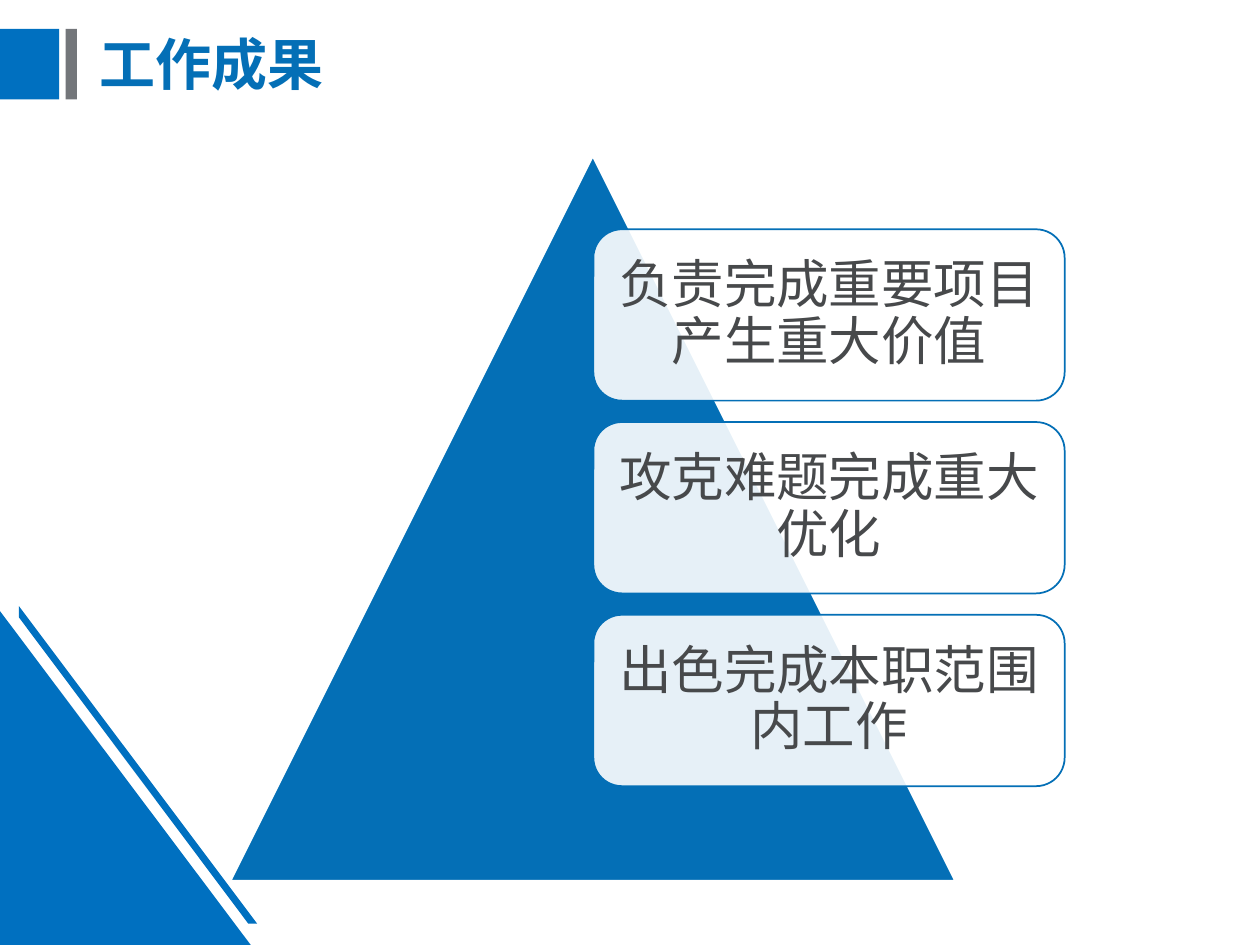
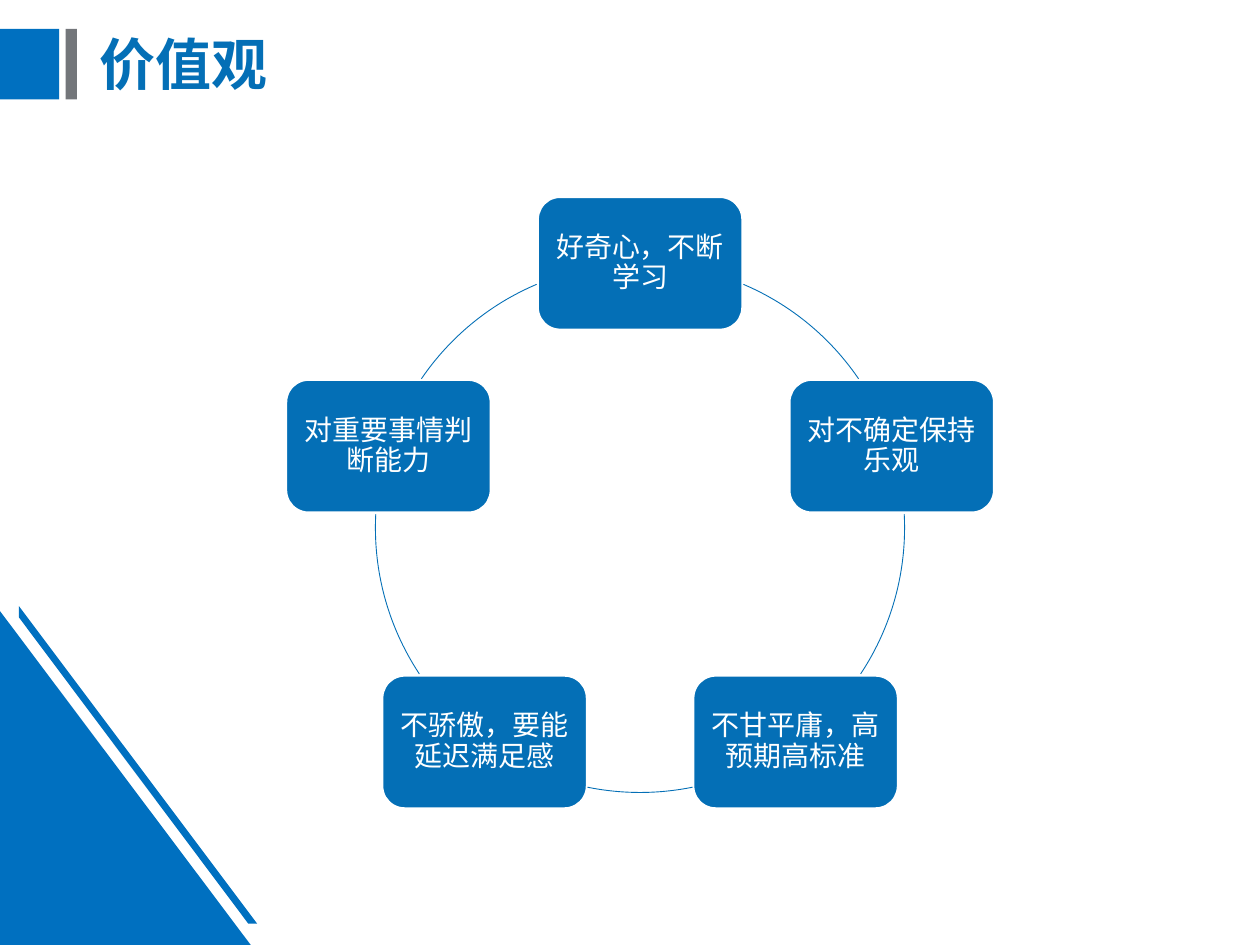
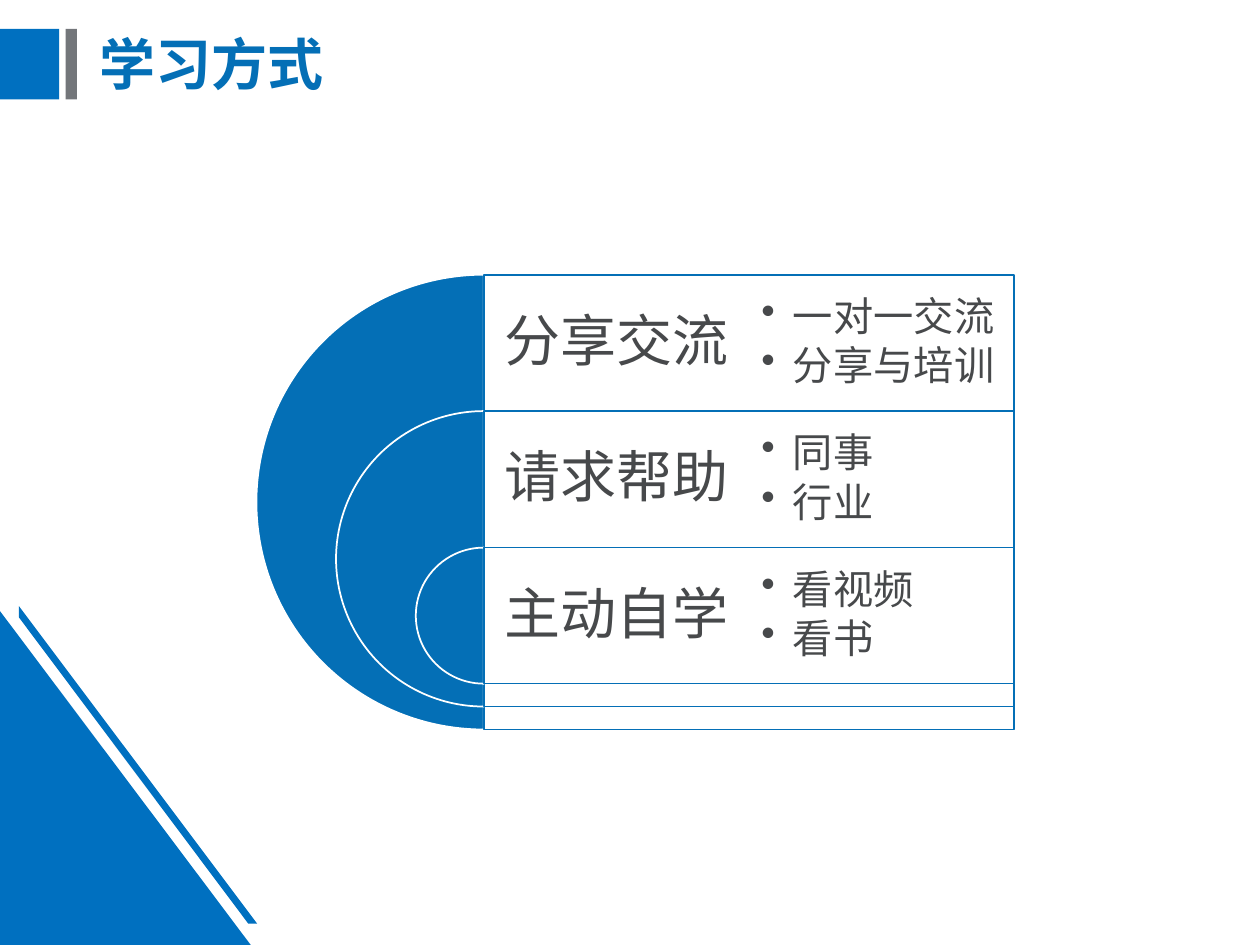
import math

import lxml.etree
import pptx
import pptx.dml.color
import pptx.enum.shapes
import pptx.enum.text
import pptx.oxml.ns
import pptx.util

SHAPE = pptx.enum.shapes.MSO_SHAPE
ALIGN = pptx.enum.text.PP_ALIGN
qn = pptx.oxml.ns.qn

COLORS = {
    "band": "0070C0",
    "accent": "046FB6",
    "bar": "73767A",
    "text": "47494B",
    "white": "FFFFFF",
}
TITLE_FONT = "Noto Sans CJK SC"
BODY_FONT = "Calibri"
COLUMNS, ROWS = 100, 75  # square grid cells, a tenth of an inch each


class Builder:
    """Holds the deck's style and the page being drawn; lengths are grid cells."""

    def __init__(self):
        self.deck = pptx.Presentation()
        self.deck.slide_width = pptx.util.Inches(10)
        self.deck.slide_height = pptx.util.Inches(7.5)
        self.cell = self.deck.slide_width // COLUMNS
        self.page = None

    def lengths(self, *cells):
        return [round(value * self.cell) for value in cells]

    def new_page(self, title):
        self.page = self.deck.slides.add_slide(self.deck.slide_layouts[6])
        # Title band
        self.shape(SHAPE.RECTANGLE, (0, 2.3, 4.7, 5.6), "band")
        self.shape(SHAPE.RECTANGLE, (5.2, 2.3, 0.9, 5.6), "bar")
        # Corner triangle and its stripe
        self.shape(SHAPE.RIGHT_TRIANGLE, (0, 48.5, 19.9, ROWS - 48.5), "band")
        self.outline([(1.5, 48.1), (20.4, 73.3), (19.7, 73.3), (1.5, 49)], "band")
        self.text((6.9, 1, 89, 8.7), [title], 32, "accent", font=TITLE_FONT,
                  bold=True, align=ALIGN.LEFT, inset=(1, 0.5))

    def paint(self, shape, fill, line, weight, opacity=100):
        shape.shadow.inherit = False
        if fill:
            shape.fill.solid()
            shape.fill.fore_color.rgb = self.color(fill)
        else:
            shape.fill.background()
        if opacity < 100:
            tint = shape._element.spPr.find(f"{qn('a:solidFill')}/{qn('a:srgbClr')}")
            lxml.etree.SubElement(tint, qn("a:alpha"), val=str(opacity * 1000))
        if line:
            shape.line.color.rgb = self.color(line)
            shape.line.width = pptx.util.Pt(weight)
        else:
            shape.line.fill.background()
        return shape

    def color(self, name):
        return pptx.dml.color.RGBColor.from_string(COLORS[name])

    def shape(self, kind, at, fill=None, line=None, weight=1, opacity=100, adjust=()):
        shape = self.page.shapes.add_shape(kind, *self.lengths(*at))
        for index, value in enumerate(adjust):
            shape.adjustments[index] = value
        return self.paint(shape, fill, line, weight, opacity)

    def outline(self, points, fill):
        start, *rest = [self.lengths(*point) for point in points]
        builder = self.page.shapes.build_freeform(*start)
        builder.add_line_segments(rest, close=True)
        return self.paint(builder.convert_to_shape(), fill, None, 0)

    def arc(self, at, start, end, line, weight):
        # Angles are stored as 60000ths of a degree, adjustments as 100000ths
        return self.shape(SHAPE.ARC, at, None, line, weight,
                          adjust=(start * 0.6, end * 0.6))

    def text(self, at, lines, size, color, **style):
        box = self.page.shapes.add_textbox(*self.lengths(*at))
        self.set_text(box, lines, size, color, **style)

    def set_text(self, box, lines, size, color, font=BODY_FONT, bold=False,
                 align=ALIGN.CENTER, inset=(1, 1), after=0.35, bullet=False):
        frame = box.text_frame
        frame.word_wrap = True
        frame.vertical_anchor = pptx.enum.text.MSO_ANCHOR.MIDDLE
        across, down = self.lengths(*inset)
        frame.margin_left = frame.margin_right = across
        frame.margin_top = frame.margin_bottom = down
        for index, line in enumerate(lines):
            para = frame.add_paragraph() if index else frame.paragraphs[0]
            para.alignment = align
            para.line_spacing = 0.9
            para.space_after = pptx.util.Pt(size * after)
            if bullet:
                self.add_bullet(para)
            span = para.add_run()
            span.text = line
            span.font.size = pptx.util.Pt(size)
            span.font.bold = bold
            span.font.color.rgb = self.color(color)
            span.font.name = font
            lxml.etree.SubElement(span.font._element, qn("a:ea"), typeface=font)

    def add_bullet(self, para):
        para.level = 1
        indent = self.lengths(2.5)[0]
        props = para._p.get_or_add_pPr()
        props.set("marL", str(indent))
        props.set("indent", str(-indent))
        lxml.etree.SubElement(props, qn("a:buChar"), char="•")


def results_page(builder):
    builder.new_page("工作成果")
    builder.shape(SHAPE.ISOSCELES_TRIANGLE, (18.3, 12.4, 57.5, 57.5), "accent", "white")
    results = ["负责完成重要项目产生重大价值", "攻克难题完成重大优化", "出色完成本职范围内工作"]
    for index, result in enumerate(results):
        card = builder.shape(SHAPE.ROUNDED_RECTANGLE, (47.1, 18.2 + index * 15.3, 37.4, 13.6),
                             "white", "accent", opacity=90)
        builder.set_text(card, [result], 30, "text", inset=(1.2, 1.2))


def values_page(builder):
    builder.new_page("价值观")
    # Box centres on a ring, clockwise from the top
    center_x, center_y, radius = 50.8, 41.9, 21
    width, height = 16.2, 10.5
    values = ["好奇心，不断学习", "对不确定保持乐观", "不甘平庸，高预期高标准",
              "不骄傲，要能延迟满足感", "对重要事情判断能力"]
    ring = (center_x - radius, center_y - radius, 2 * radius, 2 * radius)
    # Visible ring between boxes; the left side mirrors the right
    right_arcs = [(293, 325.7), (357, 33.5)]
    left_arcs = [((180 - end) % 360, (180 - start) % 360) for start, end in right_arcs]
    for start, end in right_arcs + [(78.5, 101.5)] + left_arcs:
        builder.arc(ring, start, end, "accent", 0.5)
    for index, value in enumerate(values):
        angle = math.radians(index * 360 / len(values) - 90)
        left = center_x + radius * math.cos(angle) - width / 2
        top = center_y + radius * math.sin(angle) - height / 2
        box = builder.shape(SHAPE.ROUNDED_RECTANGLE, (left, top, width, height),
                            "accent", "white")
        builder.set_text(box, [value], 16, "white", inset=(0.7, 0.7))


def learning_page(builder):
    builder.new_page("学习方式")
    methods = [
        ("分享交流", ["一对一交流", "分享与培训"]),
        ("请求帮助", ["同事", "行业"]),
        ("主动自学", ["看视频", "看书"]),
    ]
    left, top, width, row = 38.4, 21.8, 42.1, 10.83
    half = width / 2
    for index, (method, details) in enumerate(methods):
        row_top = top + index * row
        size = 36.1 - index * 12.65
        # Half disc from 90 to 270 degrees, then its panel
        builder.shape(SHAPE.PIE, (left - size / 2, row_top, size, size),
                      "accent", "white", adjust=(54, 162))
        builder.shape(SHAPE.RECTANGLE, (left, row_top, width, size),
                      "white", "accent", opacity=90)
        builder.text((left, row_top, half, row), [method], 32, "text", inset=(1.3, 1.3))
        builder.text((left + half, row_top, half, row), details, 23, "text",
                     align=ALIGN.LEFT, after=0.15, bullet=True)


def main():
    builder = Builder()
    results_page(builder)
    values_page(builder)
    learning_page(builder)
    builder.deck.save("out.pptx")


if __name__ == "__main__":
    main()
